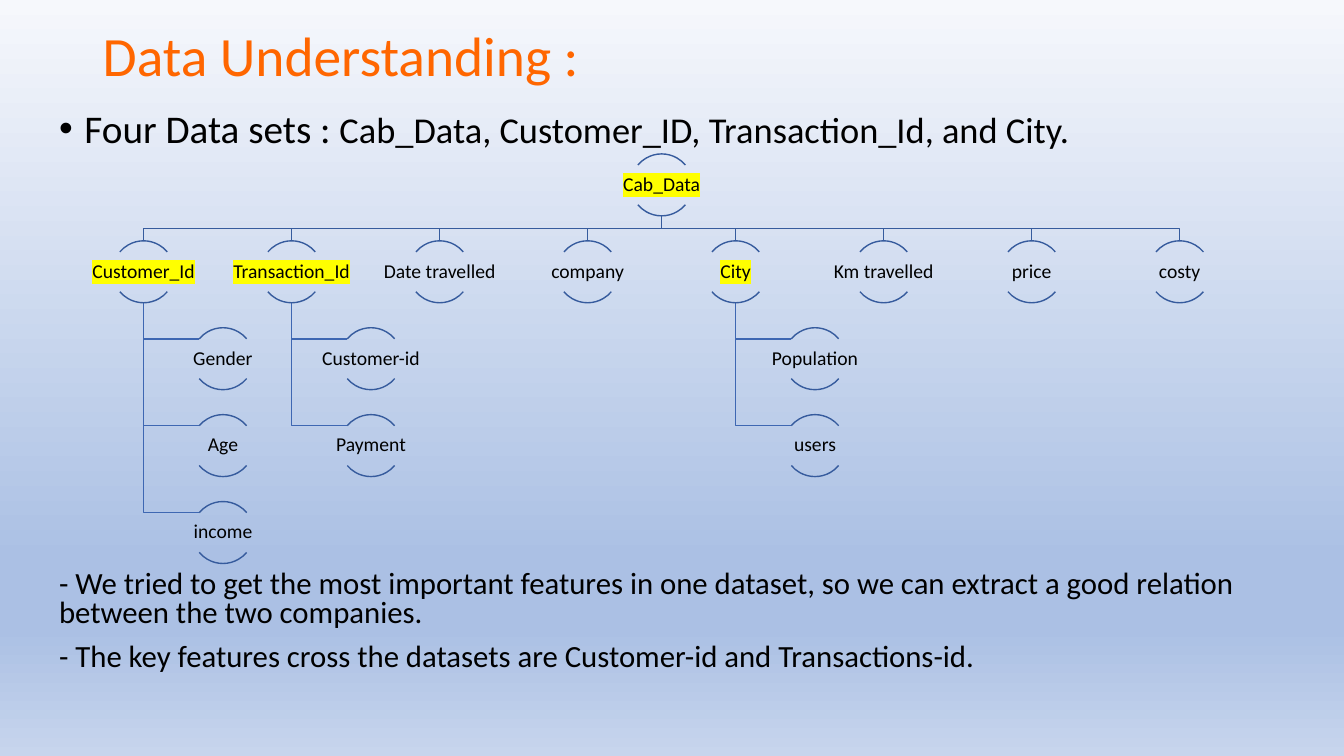
from lxml import etree
from pptx import Presentation
from pptx.dml.color import RGBColor
from pptx.enum import shapes, text
from pptx.oxml.ns import qn
from pptx.util import Cm, Pt

ORANGE = RGBColor(0xFF, 0x66, 0x00)
BLACK = RGBColor(0x00, 0x00, 0x00)
YELLOW = RGBColor(0xFF, 0xFF, 0x00)
DARK_BLUE = RGBColor(0x36, 0x5B, 0x9D)
MID_BLUE = RGBColor(0x3E, 0x67, 0xB2)
BACKGROUND_STOPS = [
    (0, RGBColor(0xF6, 0xF8, 0xFC)),
    (74, RGBColor(0xAB, 0xC0, 0xE4)),
    (83, RGBColor(0xAB, 0xC0, 0xE4)),
    (100, RGBColor(0xC7, 0xD5, 0xED)),
]
FONT = "Calibri"

ROOT = "Cab_Data"
BRANCHES = [
    ("Customer_Id", ["Gender", "Age", "income"]),
    ("Transaction_Id", ["Customer-id", "Payment"]),
    ("Date travelled", []),
    ("company", []),
    ("City", ["Population", "users"]),
    ("Km travelled", []),
    ("price", []),
    ("costy", []),
]
HIGHLIGHTED = {"Cab_Data", "Customer_Id", "Transaction_Id", "City"}

CIRCLE = Cm(1.56)
LABEL_WIDTH, LABEL_HEIGHT = Cm(3.08), Cm(1)
ARC_DROP = Cm(0.28)       # from the top of a circle to the ends of its upper arc
ARC_HALF_WIDTH = Cm(0.6)
ROW_STEP = Cm(2.19)
LEAF_SHIFT = Cm(2)
ARC_ANGLES = [(132, 192), (24, 84)]


def paint_background(slide):
    """Fill the slide with a vertical gradient."""
    fill = slide.background.fill
    fill.gradient()
    fill.gradient_angle = 270
    stop_list = slide.element.find(".//" + qn("a:gsLst"))
    for stop in list(stop_list):
        stop_list.remove(stop)
    for percent, color in BACKGROUND_STOPS:
        stop = etree.SubElement(stop_list, qn("a:gs"), pos=str(percent * 1000))
        etree.SubElement(stop, qn("a:srgbClr"), val=str(color))


def format_run(run, size, color=BLACK):
    """Set the font of one run."""
    run.font.size = Pt(size)
    run.font.color.rgb = color
    run.font.name = FONT


def highlight(run):
    """Mark a run in yellow."""
    mark = etree.Element(qn("a:highlight"))
    etree.SubElement(mark, qn("a:srgbClr"), val=str(YELLOW))
    run.font.element.find(qn("a:solidFill")).addnext(mark) if hasattr(run.font, "element") \
        else run._r.rPr.find(qn("a:solidFill")).addnext(mark)


def add_text_box(container, left, top, width, height):
    """Add a wrapping text box and return its text frame."""
    frame = container.add_textbox(left, top, width, height).text_frame
    frame.word_wrap = True
    return frame


def add_title(slide, left, top, width, height):
    """Place the slide title."""
    frame = add_text_box(slide.shapes, left, top, width, height)
    frame.vertical_anchor = text.MSO_ANCHOR.MIDDLE
    frame.text = "Data Understanding :"
    paragraph = frame.paragraphs[0]
    paragraph.line_spacing = 0.9
    format_run(paragraph.runs[0], 39.6, ORANGE)


def add_intro(slide, left, top, width, height):
    """Place the bulleted list of data sets."""
    frame = add_text_box(slide.shapes, left, top, width, height)
    paragraph = frame.paragraphs[0]
    paragraph.line_spacing = 0.8
    paragraph.text = "Four Data sets : "
    paragraph.add_run().text = "Cab_Data, Customer_ID, Transaction_Id, and City."
    for run, size in zip(paragraph.runs, (28, 26)):
        format_run(run, size)
    properties = paragraph._p.get_or_add_pPr()
    properties.set("marL", str(Cm(0.64)))
    properties.set("indent", str(-Cm(0.64)))
    etree.SubElement(properties, qn("a:buFont"), typeface="Arial")
    etree.SubElement(properties, qn("a:buChar"), char="•")


def add_remarks(slide, left, top, width, height):
    """Place the closing remarks under the tree."""
    frame = add_text_box(slide.shapes, left, top, width, height)
    frame.text = (
        "- We tried to get the most important features in one dataset, "
        "so we can extract a good relation between the two companies.\n"
        "- The key features cross the datasets are Customer-id and Transactions-id."
    )
    for index, paragraph in enumerate(frame.paragraphs):
        paragraph.line_spacing = 0.8
        paragraph.space_before = Pt(10 if index else 0)
        format_run(paragraph.runs[0], 22)


def style_outline(shape, color):
    """Leave a shape with a thin line only."""
    shape.shadow.inherit = False
    shape.fill.background()
    shape.line.color.rgb = color
    shape.line.width = Pt(1)


def add_link(container, points, color):
    """Draw an angled link through the points."""
    builder = container.build_freeform(*points[0])
    builder.add_line_segments(points[1:], close=False)
    style_outline(builder.convert_to_shape(), color)


def add_node(container, label, center, top):
    """Draw a label between two arcs of a circle."""
    for angles in ARC_ANGLES:
        arc = container.add_shape(
            shapes.MSO_SHAPE.ARC, center - CIRCLE // 2, top, CIRCLE, CIRCLE)
        arc.adjustments[0], arc.adjustments[1] = angles
        style_outline(arc, DARK_BLUE)
    frame = add_text_box(container, center - LABEL_WIDTH // 2, top + ARC_DROP,
                         LABEL_WIDTH, LABEL_HEIGHT)
    frame.margin_left = frame.margin_right = Cm(0.02)
    frame.margin_top = frame.margin_bottom = Cm(0.02)
    frame.vertical_anchor = text.MSO_ANCHOR.MIDDLE
    frame.text = label
    paragraph = frame.paragraphs[0]
    paragraph.alignment = text.PP_ALIGN.CENTER
    paragraph.line_spacing = 0.9
    format_run(paragraph.runs[0], 14)
    if label in HIGHLIGHTED:
        highlight(paragraph.runs[0])


def add_tree(slide, left, top, width):
    """Draw the tree of fields, with its branches spread over the width."""
    container = slide.shapes.add_group_shape().shapes
    step = (width - LABEL_WIDTH) // (len(BRANCHES) - 1)
    root_center = left + width // 2
    root_bottom, branch_top = top + CIRCLE, top + ROW_STEP
    bus = (root_bottom + branch_top) // 2
    nodes = [(ROOT, root_center, top)]
    for column, (branch, leaves) in enumerate(BRANCHES):
        center = left + LABEL_WIDTH // 2 + column * step
        nodes.append((branch, center, branch_top))
        add_link(container, [(root_center, root_bottom), (root_center, bus),
                             (center, bus), (center, branch_top)], DARK_BLUE)
        for row, leaf in enumerate(leaves, 1):
            leaf_center, leaf_top = center + LEAF_SHIFT, branch_top + row * ROW_STEP
            nodes.append((leaf, leaf_center, leaf_top))
            elbow = leaf_top + ARC_DROP
            add_link(container, [(center, branch_top + CIRCLE), (center, elbow),
                                 (leaf_center - ARC_HALF_WIDTH, elbow)], MID_BLUE)
    for node in nodes:
        add_node(container, *node)


def main():
    """Build and save the slide."""
    presentation = Presentation()
    presentation.slide_width, presentation.slide_height = Cm(33.87), Cm(19.05)
    slide = presentation.slides.add_slide(presentation.slide_layouts[6])
    paint_background(slide)
    add_tree(slide, Cm(2.08), Cm(3.88), Cm(29.19))
    add_title(slide, Cm(2.34), Cm(0.71), Cm(28.7), Cm(1.52))
    add_intro(slide, Cm(1.24), Cm(2.74), Cm(31.98), Cm(1.1))
    add_remarks(slide, Cm(1.24), Cm(14.25), Cm(31.98), Cm(2.9))
    presentation.save("out.pptx")


main()
